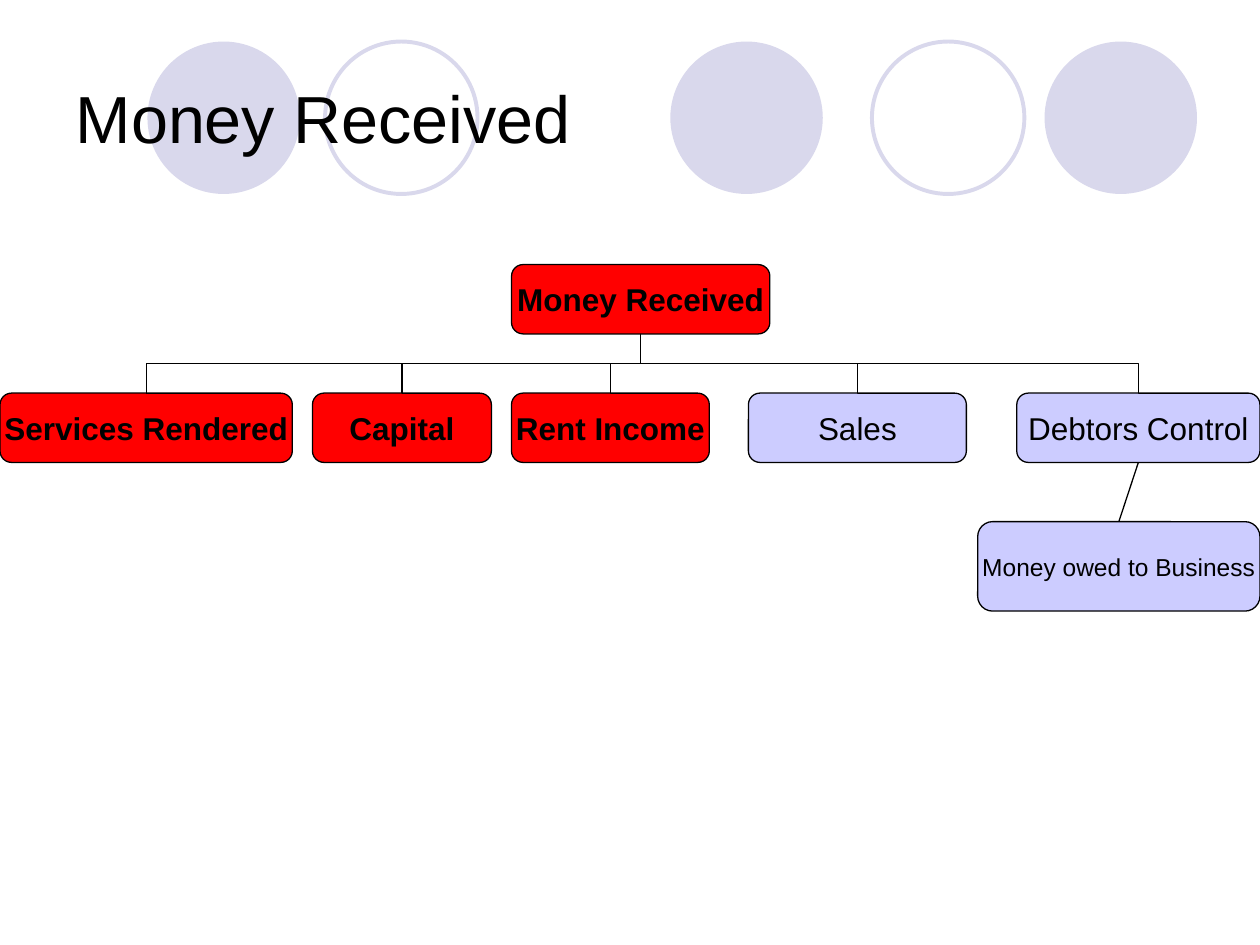
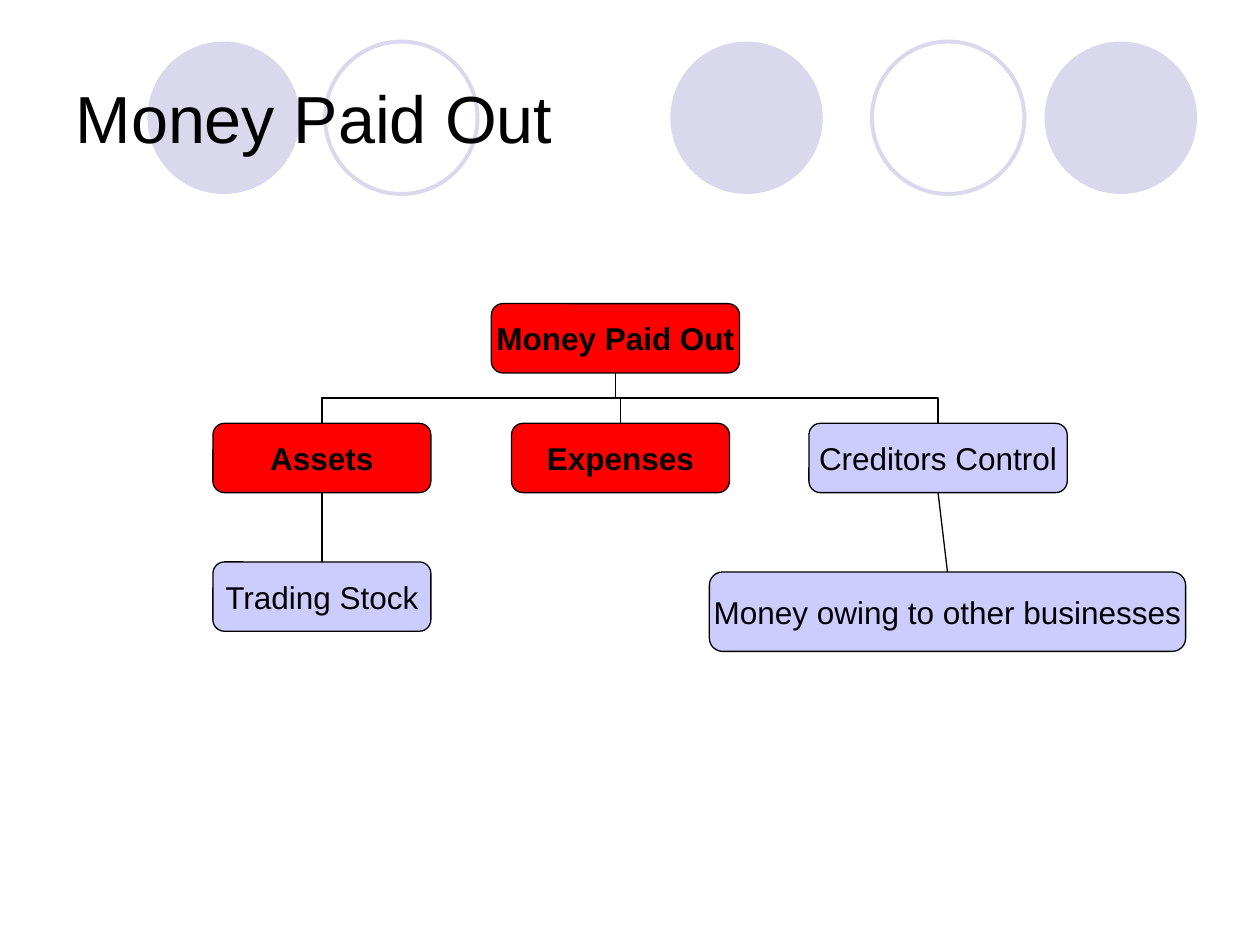
from lxml.etree import SubElement
from pptx import Presentation
from pptx.dml.color import RGBColor
from pptx.enum.shapes import MSO_CONNECTOR as Connector, MSO_SHAPE as Preset
from pptx.enum.text import MSO_ANCHOR as Anchor, PP_ALIGN as Align
from pptx.oxml.ns import qn
from pptx.util import Inches, Pt

BLACK, RED, LILAC, PALE = "000000", "FF0000", "CCCCFF", "D9D8EC"
FONT = "Arial"
BOX_HEIGHT = 0.55
CIRCLE_SIZE = 1.21
CIRCLES = [(5.32, True), (8.29, True), (1.17, True), (6.92, False), (2.58, False)]
TITLE_ONLY = 5
TOP_SITE, BOTTOM_SITE = 0, 2


def color(value):
    return RGBColor.from_string(value)


def set_format(target, values):
    for name, value in values.items():
        setattr(target, name, value)


def set_font(paragraph, size, bold=False):
    set_format(paragraph.font, {"name": FONT, "size": Pt(size), "bold": bold})
    paragraph.font.color.rgb = color(BLACK)


def set_line(line, value, width):
    line.color.rgb = color(value)
    line.width = Pt(width)


def add_circle(slide, left, filled):
    circle = slide.shapes.add_shape(
        Preset.OVAL, Inches(left), Inches(0.33), Inches(CIRCLE_SIZE), Inches(CIRCLE_SIZE))
    circle.shadow.inherit = False
    if filled:
        circle.fill.solid()
        circle.fill.fore_color.rgb = color(PALE)
        circle.line.fill.background()
    else:
        circle.fill.background()
        set_line(circle.line, PALE, 2.25)
    return circle


def style_layout(layout, slide):
    for index, (left, filled) in enumerate(CIRCLES):
        circle = add_circle(slide, left, filled).element
        circle.nvSpPr.cNvPr.set("id", str(100 + index))
        layout.shapes.element.insert(2 + index, circle)
    set_format(layout.placeholders[0], {
        "left": Inches(0.5), "top": Inches(0.3),
        "width": Inches(9), "height": Inches(1.25)})


def set_title(slide, text):
    frame = slide.shapes.title.text_frame
    frame.text = text
    frame.vertical_anchor = Anchor.MIDDLE
    frame.paragraphs[0].alignment = Align.LEFT
    set_font(frame.paragraphs[0], 38)


def add_box(slide, text, left, top, width, fill, height=BOX_HEIGHT, size=18):
    box = slide.shapes.add_shape(
        Preset.ROUNDED_RECTANGLE, Inches(left), Inches(top), Inches(width), Inches(height))
    box.shadow.inherit = False
    box.fill.solid()
    box.fill.fore_color.rgb = color(fill)
    set_line(box.line, BLACK, 0.75)
    frame = box.text_frame
    set_format(frame, {"text": text, "word_wrap": False, "vertical_anchor": Anchor.MIDDLE})
    frame.paragraphs[0].alignment = Align.CENTER
    set_font(frame.paragraphs[0], size, bold=fill == RED)
    return box


def add_link(slide, parent, child, kind):
    link = slide.shapes.add_connector(kind, 0, 0, 0, 0)
    link.begin_connect(parent, BOTTOM_SITE)
    link.end_connect(child, TOP_SITE)
    set_line(link.line, BLACK, 0.75)
    SubElement(link.element.spPr, qn("a:effectLst"))
    return link


def add_elbow(slide, parent, child):
    link = add_link(slide, parent, child, Connector.ELBOW)
    goes_right = link.end_x > link.begin_x
    center_x, center_y = link.left + link.width // 2, link.top + link.height // 2
    width, height = link.height, link.width
    set_format(link, {
        "left": center_x - width // 2, "top": center_y - height // 2,
        "width": width, "height": height})
    frame = link.element.spPr.find(qn("a:xfrm"))
    frame.set("flipH", "1" if goes_right else "0")
    frame.set("rot", str((270 if goes_right else 90) * 60000))


def add_tree(slide, root, branches, leaves):
    root_box = add_box(slide, *root)
    branch_boxes = {branch[0]: add_box(slide, *branch) for branch in branches}
    for box in branch_boxes.values():
        add_elbow(slide, root_box, box)
    for parent, leaf in leaves:
        add_link(slide, branch_boxes[parent], add_box(slide, *leaf), Connector.STRAIGHT)


def add_money_received(slide):
    row = 3.12
    add_tree(
        slide,
        ("Money Received", 4.06, 2.1, 2.05, RED),
        [("Services Rendered", 0, row, 2.32, RED),
         ("Capital", 2.48, row, 1.42, RED),
         ("Rent Income", 4.06, row, 1.57, RED),
         ("Sales", 5.94, row, 1.73, LILAC),
         ("Debtors Control", 8.07, row, 1.93, LILAC)],
        [("Debtors Control", ("Money owed to Business", 7.76, 4.14, 2.24, LILAC, 0.71, 14))])


def add_money_paid_out(slide):
    row = 3.36
    add_tree(
        slide,
        ("Money Paid Out", 3.9, 2.41, 1.97, RED),
        [("Assets", 1.69, row, 1.73, RED),
         ("Expenses", 4.06, row, 1.73, RED),
         ("Creditors Control", 6.42, row, 2.05, LILAC)],
        [("Assets", ("Trading Stock", 1.69, 4.46, 1.73, LILAC)),
         ("Creditors Control",
          ("Money owing to other businesses", 5.63, 4.54, 3.78, LILAC, 0.63))])


def main():
    presentation = Presentation()
    set_format(presentation, {"slide_width": Inches(10), "slide_height": Inches(7.5)})
    layout = presentation.slide_layouts[TITLE_ONLY]
    received = presentation.slides.add_slide(layout)
    paid_out = presentation.slides.add_slide(layout)
    style_layout(layout, received)
    set_title(received, "Money Received")
    add_money_received(received)
    set_title(paid_out, "Money Paid Out")
    add_money_paid_out(paid_out)
    presentation.save("out.pptx")


if __name__ == "__main__":
    main()
